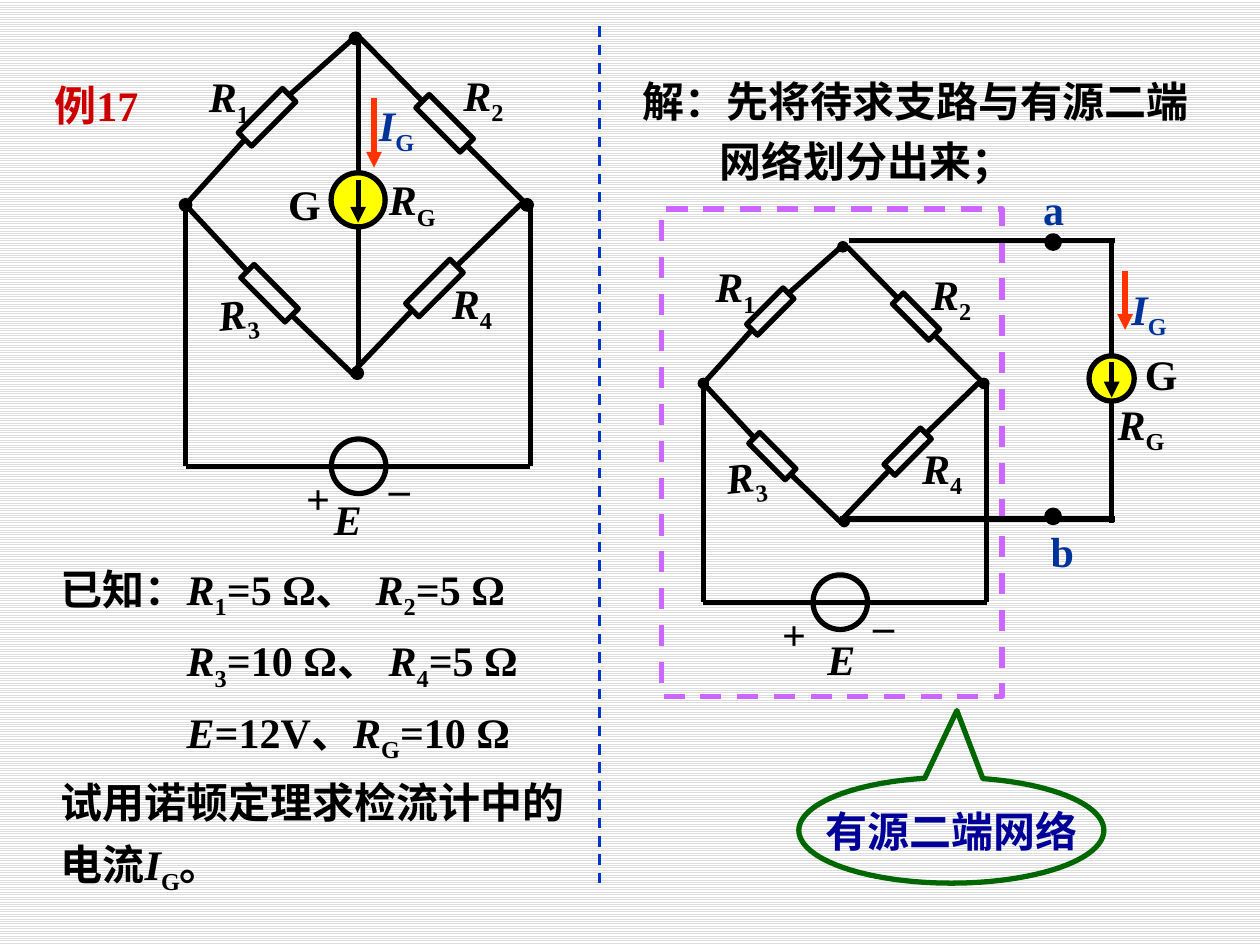
"""Build the bridge circuit example slide on Norton's theorem."""
from lxml import etree
from pptx import Presentation
from pptx import util as u
from pptx.dml.color import RGBColor
from pptx.enum import dml, shapes, text
from pptx.oxml import ns

BLACK, BLUE, RED = "000000", "003399", "FF3300"
RESISTORS = [
    ((-0.525, -0.51), (-0.01, -0.98), (-1, 0)),
    ((0.51, -0.475), (0.02, -0.97), (1, 0.01)),
    ((-0.51, 0.515), (-0.02, 0.99), (-1, 0)),
    ((0.45, 0.485), (-0.03, 0.98), (0.96, -0.01)),
]
NODES = [(0.99, 0), (-0.01, -0.97), (-1, 0), (0, 0.98)]
LEFT_LABELS = {
    "/E": (6.48, 9.83), "–": (7.59, 9.19), "+": (5.92, 9.4), "G": (5.56, 3.48),
    "/R|_1": (3.96, 1.3), "/R|_2": (9.09, 1.27), "/R|_3": (4.14, 5.66),
    "/R|_4": (8.86, 5.46), "/R|_G": (7.59, 3.38), "/I|_G": (7.39, 1.88),
}
RIGHT_LABELS = {
    "/E": (16.43, 12.65), "–": (17.35, 11.96), "+": (15.52, 12.14), "G": (22.83, 6.91),
    "/R|_1": (14.17, 5.13), "/R|_2": (18.52, 5.28), "/R|_3": (14.38, 8.94),
    "/R|_4": (18.34, 8.79), "/R|_G": (22.28, 7.9), "/I|_G": (22.56, 5.59),
    "a": (20.78, 3.58), "b": (20.93, 10.46),
}
KNOWN = [
    "已知：|/R|_1|=5 Ω、\t|/R|_2|=5 Ω",
    "/R|_3|=10 Ω、 |/R|_4|=5 Ω",
    "/E|=12V、|/R|_G|=10 Ω",
    "试用诺顿定理求检流计中的电流|/I|_G|。",
]


def rgb(value):
    """Turn a hex string into a colour."""
    return RGBColor.from_string(value)


class Board:
    """Hold the text style and the slide being drawn."""

    font, size, stroke = "Times New Roman", 24, 3

    def __init__(self, slide):
        """Keep the slide to draw on."""
        self.slide = slide

    def fill_paragraph(self, paragraph, markup, color=BLACK):
        """Fill a paragraph; / marks an italic part and _ a subscript."""
        paragraph.font.name = self.font
        paragraph.font.size = u.Pt(self.size)
        paragraph.font.bold = True
        paragraph.font.color.rgb = rgb(color)
        for part in markup.split("|"):
            run = paragraph.add_run()
            run.text = part.lstrip("/_")
            if part.startswith("/"):
                run.font.italic = True
            elif part.startswith("_"):
                run._r.get_or_add_rPr().set("baseline", "-25000")

    def place(self, shape, left, top, width, height):
        """Move and size a shape."""
        shape.left, shape.top = u.Cm(left), u.Cm(top)
        shape.width, shape.height = u.Cm(width), u.Cm(height)

    def title(self, markup, box, color):
        """Format the title placeholder."""
        shape = self.slide.shapes.title
        self.place(shape, *box)
        frame = shape.text_frame
        frame.auto_size = text.MSO_AUTO_SIZE.NONE
        frame.vertical_anchor = text.MSO_ANCHOR.BOTTOM
        frame.paragraphs[0].alignment = text.PP_ALIGN.LEFT
        self.fill_paragraph(frame.paragraphs[0], markup, color)

    def lines(self, shape, items, indents, before=0, tab=None):
        """Add spaced paragraphs without bullets."""
        frame = shape.text_frame
        frame.word_wrap = True
        frame.auto_size = text.MSO_AUTO_SIZE.NONE
        for index, (markup, indent) in enumerate(zip(items, indents)):
            paragraph = frame.add_paragraph() if index else frame.paragraphs[0]
            paragraph.line_spacing = 1.2
            paragraph.space_before = u.Pt(before if index else 0)
            properties = paragraph._p.get_or_add_pPr()
            properties.set("marL", str(u.Cm(indent)))
            properties.set("indent", "0")
            etree.SubElement(properties, ns.qn("a:buNone"))
            if tab and "\t" in markup:
                stops = etree.SubElement(properties, ns.qn("a:tabLst"))
                etree.SubElement(stops, ns.qn("a:tab"), pos=str(u.Cm(tab)), algn="l")
            self.fill_paragraph(paragraph, markup)

    def body(self, items, box, indents, before, tab):
        """Format the body placeholder."""
        shape = self.slide.placeholders[1]
        self.place(shape, *box)
        self.lines(shape, items, indents, before, tab)

    def text_box(self, box):
        """Add an empty text box."""
        return self.slide.shapes.add_textbox(*map(u.Cm, box))

    def labels(self, places):
        """Add the circuit symbols."""
        for markup, (left, top) in places.items():
            shape = self.text_box((left, top, 1.65, 1.28))
            shape.text_frame.word_wrap = True
            shape.rotation = 354 if markup == "/R|_3" else 0
            color = BLUE if markup in ("/I|_G", "a", "b") else BLACK
            self.fill_paragraph(shape.text_frame.paragraphs[0], markup, color)

    def line(self, start, end, color=BLACK, width=stroke, dash=False, arrow=False):
        """Add a straight wire, arrow or divider."""
        connector = self.slide.shapes.add_connector(
            shapes.MSO_CONNECTOR.STRAIGHT, *map(u.Cm, (*start, *end)))
        connector.line.color.rgb = rgb(color)
        connector.line.width = u.Pt(width)
        if dash:
            connector.line.dash_style = dml.MSO_LINE.DASH
        if arrow:
            etree.SubElement(connector.line._get_or_add_ln(), ns.qn("a:tailEnd"), type="triangle")
        etree.SubElement(connector._element.spPr, ns.qn("a:effectLst"))

    def shape(self, kind, center, width, height, fill=None, color=BLACK, stroke=stroke):
        """Add a preset shape around a centre."""
        left, top = center[0] - width / 2, center[1] - height / 2
        shape = self.slide.shapes.add_shape(kind, *map(u.Cm, (left, top, width, height)))
        shape.shadow.inherit = False
        if fill:
            shape.fill.solid()
            shape.fill.fore_color.rgb = rgb(fill)
        else:
            shape.fill.background()
        shape.line.color.rgb = rgb(color)
        shape.line.width = u.Pt(stroke)
        return shape

    def circle(self, center, diameter, fill=None, stroke=stroke):
        """Add a node, source or meter outline."""
        self.shape(shapes.MSO_SHAPE.OVAL, center, diameter, diameter, fill, stroke=stroke)

    def bridge(self, center, half, source):
        """Draw a four-resistor bridge fed by a source below it."""
        def at(x, y):
            return center[0] + half * x, center[1] + half * y

        for (x, y), tip, side in RESISTORS:
            across, down = (0.13 if x > 0 else -0.13), (0.13 if y > 0 else -0.13)
            self.line(at(*tip), at(x - across, y + down))
            self.line(at(x + across, y - down), at(*side))
            box = self.shape(shapes.MSO_SHAPE.RECTANGLE, at(x, y), 0.11 * half, 0.365 * half)
            box.rotation = 45 if x * y > 0 else 315
        left, right = at(-1, 0), at(1.01, 0)
        for corner in (left, right):
            self.line(corner, (corner[0], source[1]))
        self.line((right[0], source[1]), (left[0], source[1]))
        self.circle(source, 1.1)
        for node in NODES:
            self.circle(at(*node), 0.073 * half, BLACK, 0.75)

    def meter(self, center, diameter, top, bottom):
        """Draw the galvanometer branch."""
        x, y = center
        self.line((x, top), (x, y - diameter / 2))
        self.line((x, y + diameter / 2), (x, bottom))
        self.circle(center, diameter, "FFFF00")
        self.line((x, y - 0.36 * diameter), (x, y + 0.42 * diameter), arrow=True)

    def callout(self, markup, center, width, height, pointer):
        """Add the speech bubble naming the network."""
        shape = self.shape(shapes.MSO_SHAPE.OVAL_CALLOUT, center, width, height, color="006600")
        shape.adjustments[0], shape.adjustments[1] = pointer
        frame = shape.text_frame
        frame.word_wrap = False
        frame.vertical_anchor = text.MSO_ANCHOR.MIDDLE
        frame.paragraphs[0].alignment = text.PP_ALIGN.CENTER
        self.fill_paragraph(frame.paragraphs[0], markup, "000099")


def main():
    """Draw the slide and save it."""
    presentation = Presentation()
    presentation.slide_width, presentation.slide_height = u.Cm(25.4), u.Cm(19.05)
    slide = presentation.slides.add_slide(presentation.slide_layouts[1])
    fill = slide.background.fill
    fill.patterned()
    fill.pattern = dml.MSO_PATTERN.LIGHT_HORIZONTAL
    fill.fore_color.rgb, fill.back_color.rgb = rgb("DDDDDD"), rgb("FFFFFF")

    board = Board(slide)
    board.title("例17", (0.84, 0.84, 2.97, 1.9), "CC0000")
    board.body(KNOWN, (0.97, 11, 11.35, 6.5), (0, 2.54, 2.54, 0), 1.5, 6.96)
    network = board.shape(shapes.MSO_SHAPE.RECTANGLE, (16.77, 9.13), 6.86, 9.83, color="CC66FF")
    network.line.dash_style = dml.MSO_LINE.DASH
    board.callout("有源二端网络", (19.18, 16.74), 6.15, 2.13, (0.018, -1.134))

    board.bridge((7.2, 4.13), 3.46, (7.23, 9.4))
    board.meter((7.22, 4.03), 1.09, 0.74, 7.49)
    board.line((7.54, 1.98), (7.54, 3.38), RED, arrow=True)
    board.labels(LEFT_LABELS)

    board.bridge((17.02, 7.73), 2.84, (16.94, 12.14))
    board.meter((22.41, 7.63), 0.91, 4.88, 10.54)
    board.line((22.68, 5.46), (22.68, 6.65), RED, arrow=True)
    for start, y, terminal in ((17.12, 4.85, 4.88), (16.94, 10.46, 10.41)):
        board.line((start, y), (22.48, y))
        board.circle((21.23, terminal), 0.25, BLACK)
    board.labels(RIGHT_LABELS)

    solution = board.text_box((12.7, 1.19, 12.12, 2.59))
    board.lines(solution, ["解：先将待求支路与有源二端", "网络划分出来；"], (0, 1.55))
    board.line((12.09, 0.53), (12.09, 17.93), "0033CC", 1.5, dash=True)
    presentation.save("out.pptx")


if __name__ == "__main__":
    main()
